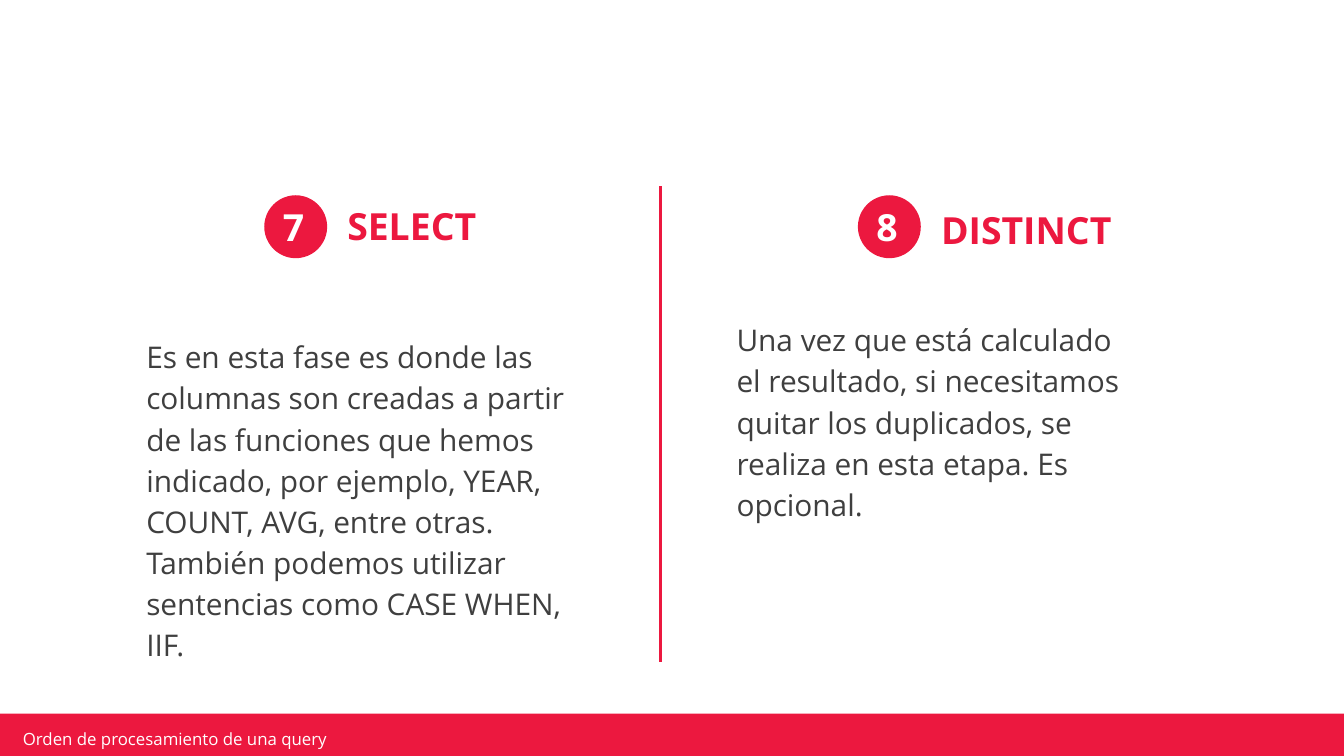
import pptx
import pptx.util
import pptx.dml.color
import pptx.enum.shapes
import pptx.enum.text
from dataclasses import dataclass
from lxml import etree

Kind = pptx.enum.shapes.MSO_SHAPE
Anchor = pptx.enum.text.MSO_ANCHOR


@dataclass(frozen=True)
class Theme:
    face: str = "Open Sans"
    red: str = "EC183F"
    gray: str = "3F3F3F"
    white: str = "FFFFFF"
    head: int = 20
    body: int = 16
    foot: int = 9


class Page:
    """One slide on a grid of 100 columns; rows are as tall as columns are wide."""

    def __init__(self, deck, theme):
        self.theme = theme
        self.cell = deck.slide_width / 100
        self.shapes = deck.slides.add_slide(deck.slide_layouts[6]).shapes

    def grid(self, *cells):
        return [pptx.util.Emu(round(n * self.cell)) for n in cells]

    def color(self, code):
        return pptx.dml.color.RGBColor.from_string(code)

    def fill(self, kind, *box):
        shape = self.shapes.add_shape(kind, *self.grid(*box))
        shape.shadow.inherit = False
        shape.fill.solid()
        shape.fill.fore_color.rgb = self.color(self.theme.red)
        shape.line.fill.background()

    def text(self, words, box, size, color, bold=False, lead=None,
             pad=(1, 1), anchor=Anchor.TOP):
        frame = self.shapes.add_textbox(*self.grid(*box)).text_frame
        frame.word_wrap = True
        frame.vertical_anchor = anchor
        frame.margin_left, frame.margin_top = self.grid(*pad)
        frame.margin_right, frame.margin_bottom = self.grid(*pad)
        para = frame.paragraphs[0]
        para.text = words
        if lead:
            para.line_spacing = lead
        font = para.font
        font.name = self.theme.face
        font.size = pptx.util.Pt(size)
        font.bold = bold
        font.color.rgb = self.color(color)

    def rule(self, *ends):
        line = self.shapes.add_connector(
            pptx.enum.shapes.MSO_CONNECTOR.STRAIGHT, *self.grid(*ends))
        line.line.color.rgb = self.color(self.theme.red)
        line.line.width = pptx.util.Pt(1.5)
        props = line._element.spPr
        etree.SubElement(props, pptx.oxml.ns.qn("a:effectLst"))

    def badge(self, mark, left):
        self.fill(Kind.OVAL, left, 14.53, 4.68, 4.68)
        self.text(mark, (left + 0.4, 14.2, 3.5, 5.4),
                  self.theme.head, self.theme.white, bold=True)


def main():
    deck = pptx.Presentation()
    deck.slide_width = pptx.util.Inches(10)
    deck.slide_height = deck.slide_width * 9 // 16
    theme = Theme()
    page = Page(deck, theme)

    # Footer band
    page.fill(Kind.RECTANGLE, -0.2, 53.1, 100.3, 3.6)
    page.text("Orden de procesamiento de una query", (1.2, 54.2, 23.9, 1.5),
              theme.foot, theme.white, pad=(0.5, 0.2), anchor=Anchor.MIDDLE)

    # Divider
    page.rule(49.15, 13.85, 49.15, 49.25)

    # Query steps: number, title, title top, title width, body text, body box
    steps = [
        ("7", "SELECT", 14.1, 22.6,
         "Es en esta fase es donde las columnas son creadas a partir de las "
         "funciones que hemos indicado, por ejemplo, YEAR, COUNT, AVG, entre "
         "otras. \vTambién podemos utilizar sentencias como CASE WHEN, IIF.",
         (9.9, 23.82, 34.5, 29.2)),
        ("8", "DISTINCT", 14.4, 20.5,
         "Una vez que está calculado el resultado, si necesitamos quitar los "
         "duplicados, se realiza en esta etapa. Es opcional.",
         (53.82, 22.56, 31.9, 21.4)),
    ]
    for i, (mark, title, top, width, words, box) in enumerate(steps):
        left = 19.66 + 44.17 * i
        page.badge(mark, left)
        page.text(title, (left + 5.2, top, width, 7.7),
                  theme.head, theme.red, bold=True)
        page.text(words, box, theme.body, theme.gray, lead=1.15)

    deck.save("out.pptx")


if __name__ == "__main__":
    main()
